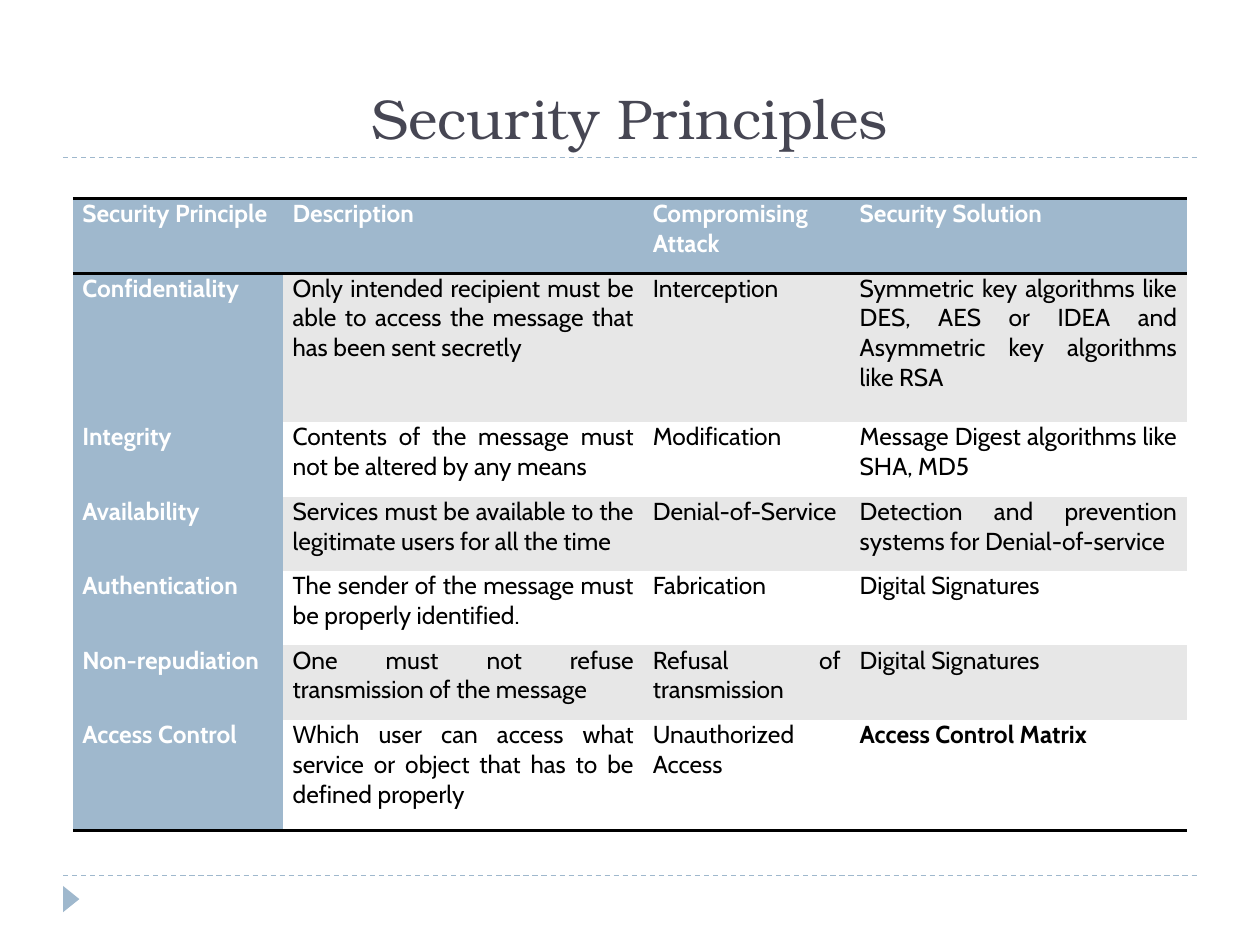
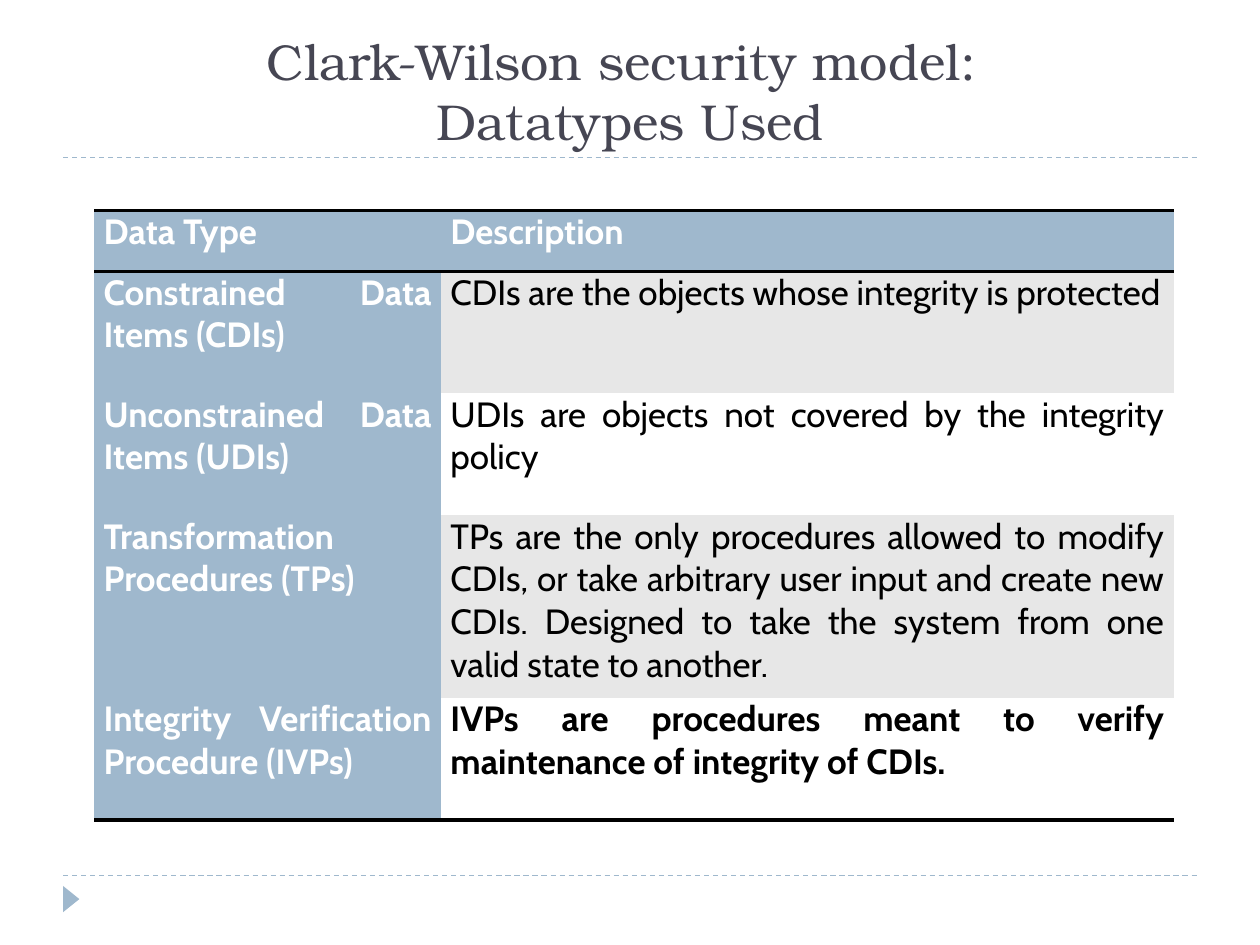
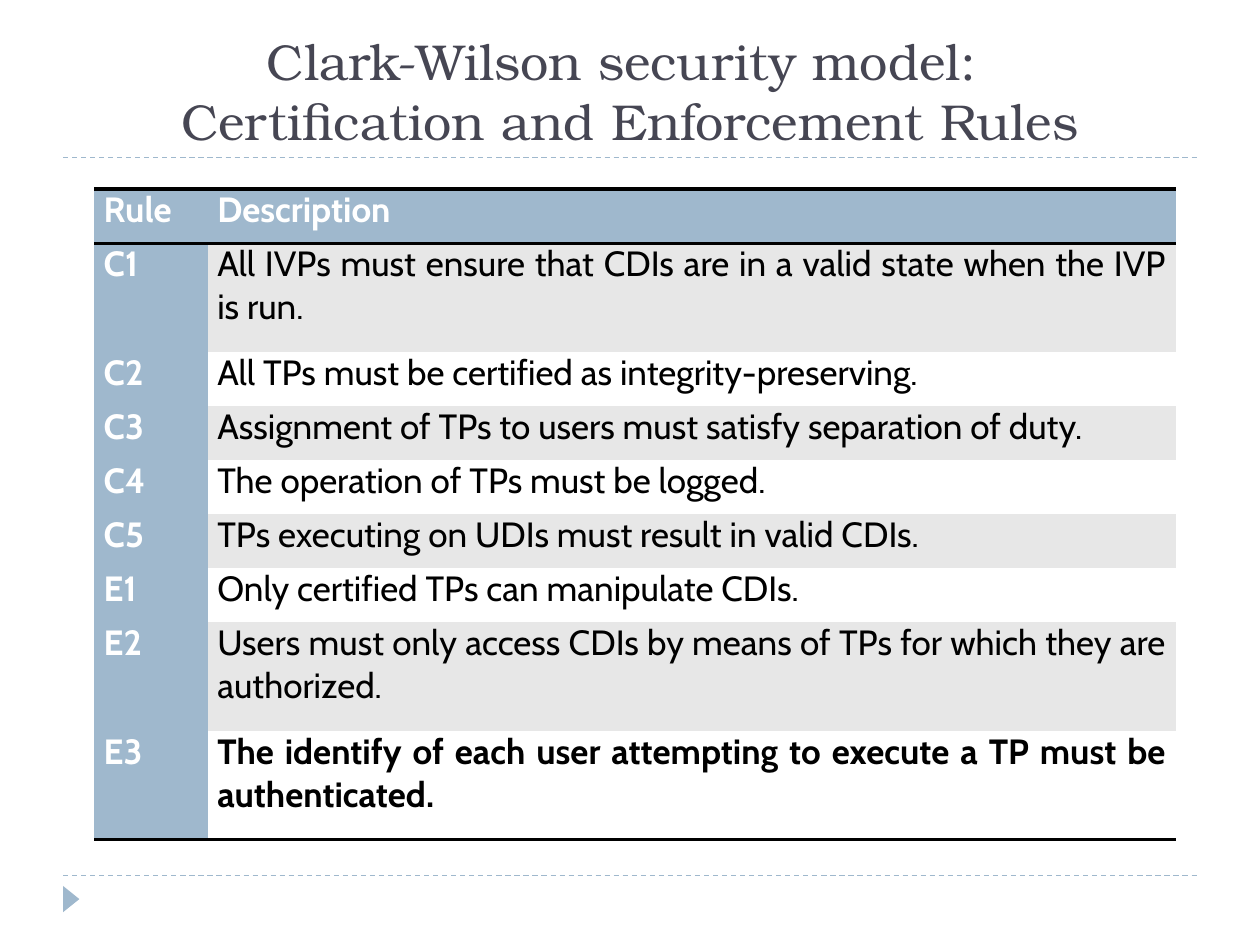
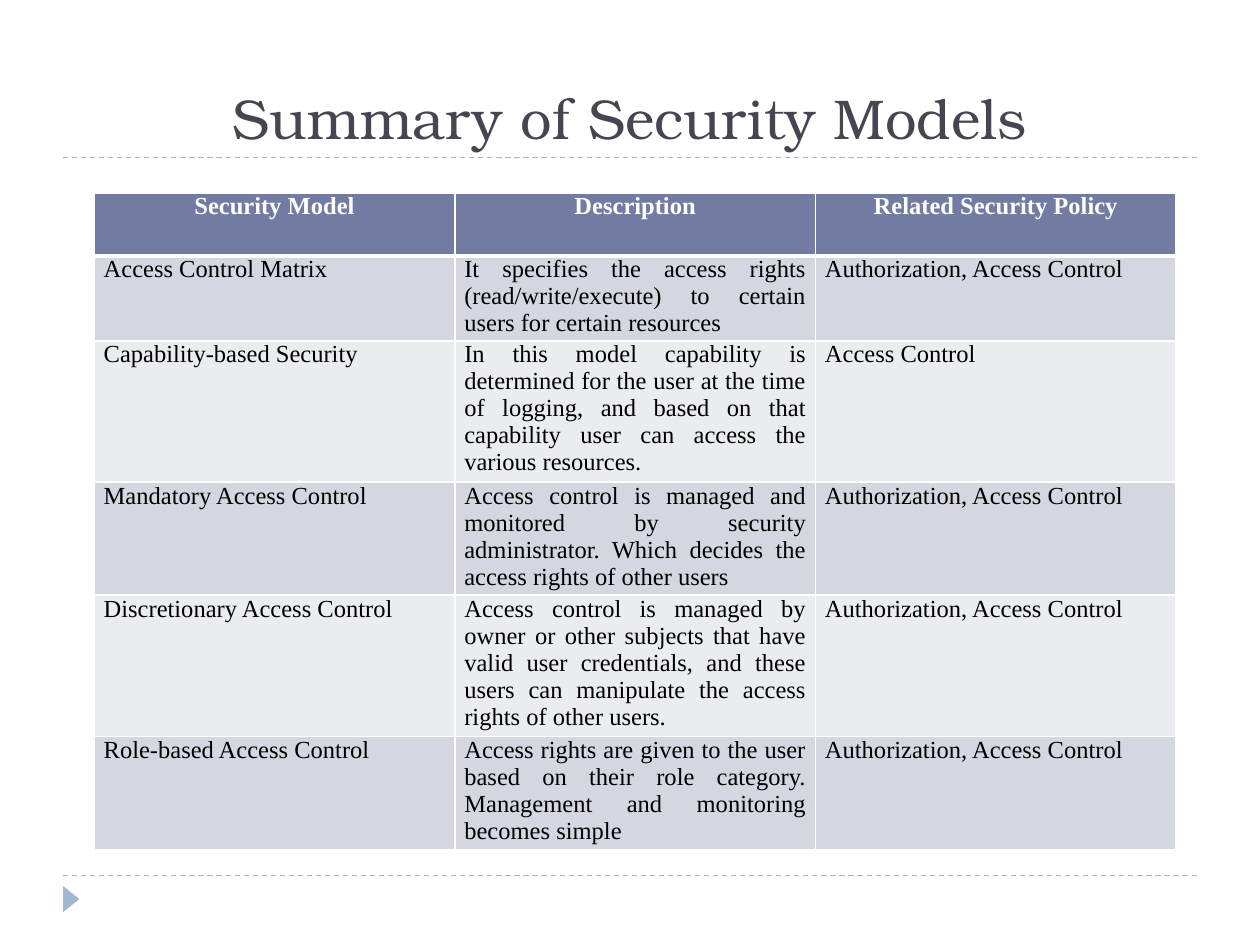
from dataclasses import dataclass

from lxml.etree import SubElement
from pptx import Presentation
from pptx.dml.color import RGBColor
from pptx.enum.dml import MSO_LINE
from pptx.enum.shapes import MSO_CONNECTOR, MSO_SHAPE
from pptx.enum.text import MSO_ANCHOR, MSO_AUTO_SIZE, PP_ALIGN
from pptx.oxml.ns import qn
from pptx.util import Cm, Pt


@dataclass(frozen=True)
class Theme:
    """Colours, fonts and type sizes of the deck."""

    accent: str = "9FB8CD"
    indigo: str = "727CA3"
    title: str = "464653"
    black: str = "000000"
    white: str = "FFFFFF"
    grey_band: str = "E7E7E7"
    dark_band: str = "D5D7E0"
    light_band: str = "EBECF0"
    title_font: str = "TeX Gyre Bonum"
    body_font: str = "Cabin"
    serif_font: str = "Times New Roman"
    one_line_title: float = 32
    two_line_title: float = 28.8
    large_text: float = 20
    small_text: float = 14


theme = Theme()

# Widths are in points: the top edge, below the header, between rows, the bottom edge, the sides.
ruled_style = {
    "font": theme.body_font, "header": theme.accent, "first_column": theme.accent,
    "bands": (theme.grey_band, theme.white), "header_align": PP_ALIGN.JUSTIFY,
    "rule": theme.black, "top": 2, "below_header": 2, "inner": 0, "bottom": 2, "sides": 0,
    "bold_last_cell": True,
}
grid_style = {
    "font": theme.serif_font, "header": theme.indigo, "first_column": None,
    "bands": (theme.dark_band, theme.light_band), "header_align": PP_ALIGN.CENTER,
    "rule": theme.white, "top": 1, "below_header": 3, "inner": 1, "bottom": 1, "sides": 1,
    "bold_last_cell": False,
}
NO_STYLE_NO_GRID = "{2D5ABB26-0587-4C30-8999-92F81FD0307C}"

slide_contents = [
    {
        "title": "Security Principles", "title_size": theme.one_line_title,
        "style": ruled_style, "text_size": theme.small_text,
        "left": 1.47, "top": 4.01,
        "columns": [4.24, 7.26, 4.17, 6.78],
        "heights": [1.5, 3, 1.5, 1.5, 1.5, 1.5, 2.24],
        "rows": [
            ["Security Principle", "Description", "Compromising Attack", "Security Solution"],
            ["Confidentiality",
             "Only intended recipient must be able to access the message that has been sent secretly",
             "Interception",
             "Symmetric key algorithms like DES, AES or IDEA and Asymmetric key algorithms like RSA"],
            ["Integrity", "Contents of the message must not be altered by any means",
             "Modification", "Message Digest algorithms like SHA, MD5"],
            ["Availability", "Services must be available to the legitimate users for all the time",
             "Denial-of-Service", "Detection and prevention systems for Denial-of-service"],
            ["Authentication", "The sender of the message must be properly identified.",
             "Fabrication", "Digital Signatures"],
            ["Non-repudiation", "One must not refuse transmission of the message",
             "Refusal of transmission", "Digital Signatures"],
            ["Access Control",
             "Which user can access what service or object that has to be defined properly",
             "Unauthorized Access", "Access Control Matrix"],
        ],
    },
    {
        "title": "Clark-Wilson security model: \vDatatypes Used",
        "title_size": theme.two_line_title,
        "style": ruled_style, "text_size": theme.large_text,
        "left": 1.9, "top": 4.24,
        "columns": [6.99, 14.77],
        "heights": [1.23, 2.46, 2.46, 3.68, 2.46],
        "rows": [
            ["Data Type", "Description"],
            ["Constrained Data Items (CDIs)", "CDIs are the objects whose integrity is protected"],
            ["Unconstrained Data Items (UDIs)",
             "UDIs are objects not covered by the integrity policy"],
            ["Transformation Procedures (TPs)",
             "TPs are the only procedures allowed to modify CDIs, or take arbitrary user input and "
             "create new CDIs. Designed to take the system from one valid state to another."],
            ["Integrity Verification Procedure (IVPs)",
             "IVPs are procedures meant to verify maintenance of integrity of CDIs."],
        ],
    },
    {
        "title": "Clark-Wilson security model: \vCertification and Enforcement Rules",
        "title_size": theme.two_line_title,
        "style": ruled_style, "text_size": theme.large_text,
        "left": 1.9, "top": 3.81,
        "columns": [2.29, 19.51],
        "heights": [1.09, 2.19] + [1.09] * 5 + [2.19] * 2,
        "rows": [
            ["Rule", "Description"],
            ["C1", "All IVPs must ensure that CDIs are in a valid state when the IVP is run."],
            ["C2", "All TPs must be certified as integrity-preserving."],
            ["C3", "Assignment of TPs to users must satisfy separation of duty."],
            ["C4", "The operation of TPs must be logged."],
            ["C5", "TPs executing on UDIs must result in valid CDIs."],
            ["E1", "Only certified TPs can manipulate CDIs."],
            ["E2", "Users must only access CDIs by means of TPs for which they are authorized."],
            ["E3", "The identify of each user attempting to execute a TP must be authenticated."],
        ],
    },
    {
        "title": "Summary of Security Models", "title_size": theme.one_line_title,
        "style": grid_style, "text_size": theme.small_text,
        "left": 1.9, "top": 3.89,
        "columns": [7.27] * 3,
        "heights": [1.27, 1.71, 2.85, 2.28, 2.85, 2.28],
        "rows": [
            ["Security Model", "Description", "Related Security Policy"],
            ["Access Control Matrix",
             "It specifies the access rights (read/write/execute) to certain users for certain resources",
             "Authorization, Access Control"],
            ["Capability-based Security",
             "In this model capability is determined for the user at the time of logging, and based on "
             "that capability user can access the various resources.",
             "Access Control"],
            ["Mandatory Access Control",
             "Access control is managed and monitored by security administrator. Which decides the "
             "access rights of other users",
             "Authorization, Access Control"],
            ["Discretionary Access Control",
             "Access control is managed by owner or other subjects that have valid user credentials, "
             "and these users can manipulate the access rights of other users.",
             "Authorization, Access Control"],
            ["Role-based Access Control",
             "Access rights are given to the user based on their role category. Management and "
             "monitoring becomes simple",
             "Authorization, Access Control"],
        ],
    },
]


def apply_format(target, values):
    """Set every attribute named in values on the target."""
    for name, value in values.items():
        setattr(target, name, value)


def add_border(cell_properties, side, colour, width):
    """Draw one cell edge, or leave it bare when the width is zero."""
    line = SubElement(cell_properties, qn(f"a:ln{side}"), w=str(Pt(width)))
    if width:
        fill = SubElement(line, qn("a:solidFill"))
        SubElement(fill, qn("a:srgbClr"), val=colour)
    else:
        SubElement(line, qn("a:noFill"))


presentation = Presentation()
apply_format(presentation, {"slide_width": Cm(25.4), "slide_height": Cm(19.05)})
layout = presentation.slide_layouts[5]

for content in slide_contents:
    slide = presentation.slides.add_slide(layout)
    style = content["style"]

    # Title
    title = slide.shapes.title
    apply_format(title, {"left": Cm(1.27), "top": Cm(0.43), "width": Cm(22.86), "height": Cm(2.74)})
    apply_format(title.text_frame, {
        "text": content["title"], "word_wrap": True,
        "auto_size": MSO_AUTO_SIZE.NONE, "vertical_anchor": MSO_ANCHOR.BOTTOM,
    })
    paragraph = title.text_frame.paragraphs[0]
    paragraph.alignment = PP_ALIGN.CENTER
    for run in paragraph.runs:
        apply_format(run.font, {"name": theme.title_font, "size": Pt(content["title_size"])})
        run.font.color.rgb = RGBColor.from_string(theme.title)

    # Table
    rows, columns = content["rows"], content["columns"]
    frame = slide.shapes.add_table(
        len(rows), len(columns), Cm(content["left"]), Cm(content["top"]),
        Cm(sum(columns)), Cm(sum(content["heights"])))
    table = frame.table
    apply_format(table, {"horz_banding": False, "first_row": True})
    next(frame.element.iter(qn("a:tableStyleId"))).text = NO_STYLE_NO_GRID
    for column, width in zip(table.columns, columns):
        column.width = Cm(width)
    for row, height in zip(table.rows, content["heights"]):
        row.height = Cm(height)

    last_row, last_column = len(rows) - 1, len(columns) - 1
    cell_elements = frame.element.iter(qn("a:tc"))
    for index, (cell, element) in enumerate(zip(table.iter_cells(), cell_elements)):
        row_index, column_index = divmod(index, len(columns))
        is_header = row_index == 0
        is_label = column_index == 0 and style["first_column"] is not None
        is_last = (row_index, column_index) == (last_row, last_column)

        bottom = "below_header" if is_header else "bottom" if row_index == last_row else "inner"
        top = "top" if is_header else "below_header" if row_index == 1 else "inner"
        for side, edge in {"L": "sides", "R": "sides", "T": top, "B": bottom}.items():
            add_border(element.get_or_add_tcPr(), side, style["rule"], style[edge])

        if is_header:
            fill_colour = style["header"]
        elif is_label:
            fill_colour = style["first_column"]
        else:
            fill_colour = style["bands"][(row_index - 1) % 2]
        cell.fill.solid()
        cell.fill.fore_color.rgb = RGBColor.from_string(fill_colour)

        apply_format(cell, {
            "text": rows[row_index][column_index], "margin_left": Cm(0.19),
            "margin_right": Cm(0.19), "margin_top": 0, "margin_bottom": 0,
        })
        paragraph = cell.text_frame.paragraphs[0]
        apply_format(paragraph, {
            "alignment": style["header_align"] if is_header else PP_ALIGN.JUSTIFY,
            "space_before": Pt(10), "space_after": Pt(6),
        })
        font = paragraph.runs[0].font
        apply_format(font, {
            "name": style["font"], "size": Pt(content["text_size"]),
            "bold": is_header or is_label or (is_last and style["bold_last_cell"]),
        })
        font.color.rgb = RGBColor.from_string(
            theme.white if is_header or is_label else theme.black)

# Rules and corner marker are drawn once, then moved to the layout that all slides share
shapes = presentation.slides[0].shapes
decorations = []
for height in (17.65, 3.17):
    rule = shapes.add_connector(
        MSO_CONNECTOR.STRAIGHT, Cm(1.27), Cm(height), Cm(24.13), Cm(height))
    apply_format(rule.line, {"width": Pt(0.75), "dash_style": MSO_LINE.DASH})
    rule.line.color.rgb = RGBColor.from_string(theme.accent)
    SubElement(rule.element.spPr, qn("a:effectLst"))
    decorations.append(rule)

marker = shapes.add_shape(MSO_SHAPE.ISOSCELES_TRIANGLE, Cm(1.17), Cm(17.96), Cm(0.53), Cm(0.33))
marker.rotation = 90
marker.shadow.inherit = False
marker.fill.solid()
marker.fill.fore_color.rgb = RGBColor.from_string(theme.accent)
marker.line.fill.background()
decorations.append(marker)

for decoration in decorations:
    layout.shapes.element.append(decoration.element)

presentation.save("out.pptx")
